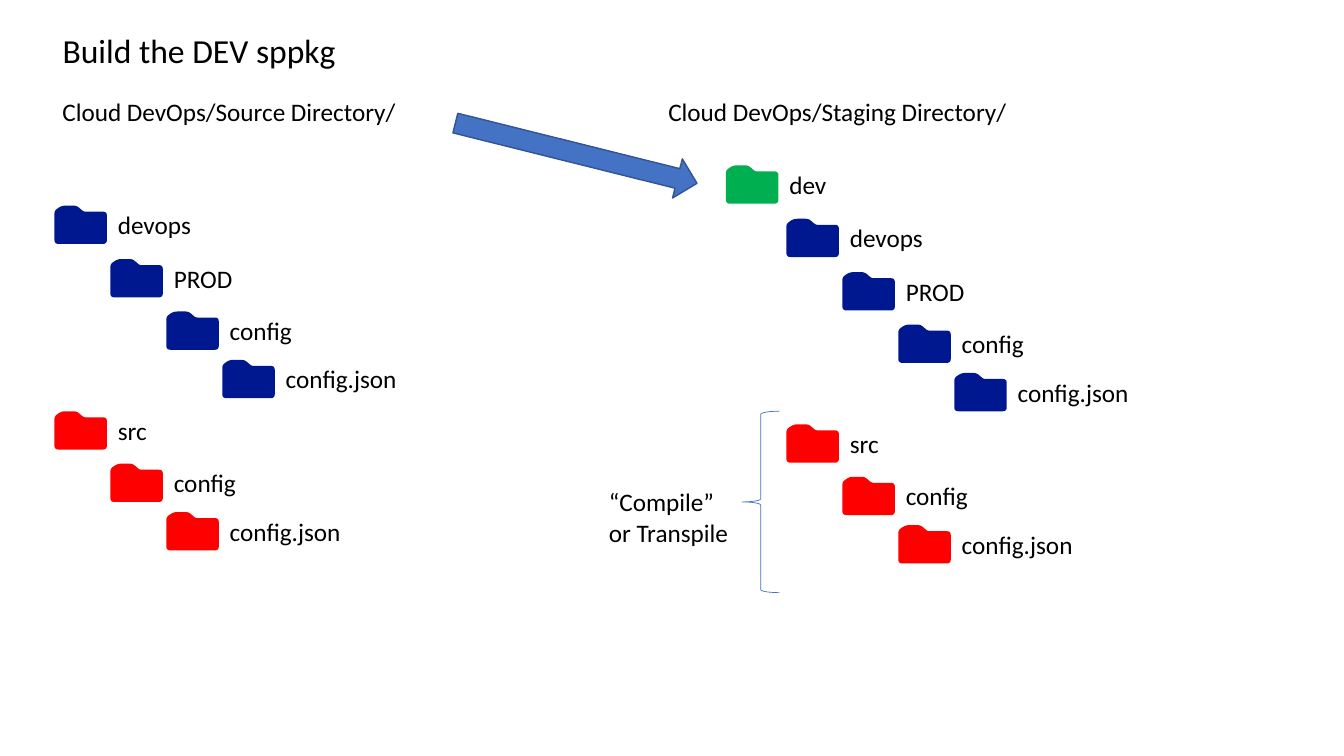
"""Build the slide that shows how the DEV package is staged from source."""
from math import dist

from pptx import Presentation
from pptx.dml.color import RGBColor
from pptx.enum.shapes import MSO_SHAPE
from pptx.enum.text import MSO_ANCHOR, PP_ALIGN
from pptx.util import Inches, Pt

BLACK = RGBColor(0x00, 0x00, 0x00)
NAVY = RGBColor(0x00, 0x18, 0x8F)
RED = RGBColor(0xFF, 0x00, 0x00)
GREEN = RGBColor(0x00, 0xB0, 0x50)
BLUE = RGBColor(0x44, 0x72, 0xC4)
DARK_BLUE = RGBColor(0x32, 0x54, 0x91)

INDENT = 0.555
CURVE_STEPS = 6
FOLDER_CORNERS = [
    (0.24, 0.02, 0.03), (0.31, 0.08, 0.02), (0.54, 0.08, 0.04),
    (0.54, 0.40, 0.04), (0.02, 0.40, 0.04), (0.02, 0.07, 0.03),
    (0.09, 0.02, 0.04),
]
TREE = [
    ("devops", 0, 0, NAVY), ("PROD", 1, 0.53, NAVY),
    ("config", 2, 1.05, NAVY), ("config.json", 3, 1.53, NAVY),
    ("src", 0, 2.04, RED), ("config", 1, 2.56, RED),
    ("config.json", 2, 3.04, RED),
]

folder_outline = []
for index, (x, y, radius) in enumerate(FOLDER_CORNERS):
    ends = []
    for neighbour in (index - 1, (index + 1) % len(FOLDER_CORNERS)):
        next_x, next_y, _ = FOLDER_CORNERS[neighbour]
        share = radius / dist((x, y), (next_x, next_y))
        ends.append((x + (next_x - x) * share, y + (next_y - y) * share))
    (start_x, start_y), (end_x, end_y) = ends
    for step in range(CURVE_STEPS + 1):
        t = step / CURVE_STEPS
        folder_outline.append((
            (1 - t) ** 2 * start_x + 2 * t * (1 - t) * x + t ** 2 * end_x,
            (1 - t) ** 2 * start_y + 2 * t * (1 - t) * y + t ** 2 * end_y,
        ))

presentation = Presentation()
presentation.slide_width = Inches(13.33)
presentation.slide_height = Inches(7.5)
slide = presentation.slides.add_slide(presentation.slide_layouts[5])


def add_text(lines, left, top, width, height=0.4, wrap=True):
    text_box = slide.shapes.add_textbox(
        Inches(left), Inches(top), Inches(width), Inches(height))
    text_frame = text_box.text_frame
    text_frame.word_wrap = wrap
    text_frame.text = lines
    for paragraph in text_frame.paragraphs:
        paragraph.font.name = "Calibri"
        paragraph.font.size = Pt(18)
        paragraph.font.color.rgb = BLACK


def add_folder(name, left, top, color):
    points = [(Inches(left + x), Inches(top + y)) for x, y in folder_outline]
    builder = slide.shapes.build_freeform(*points[0])
    builder.add_line_segments(points[1:], close=True)
    folder = builder.convert_to_shape()
    folder.shadow.inherit = False
    folder.fill.solid()
    folder.fill.fore_color.rgb = color
    folder.line.fill.background()
    add_text(name, left + 0.55, top + 0.01, 1.72)


title = slide.shapes.title
title.left, title.top = Inches(0.52), Inches(0.25)
title.width, title.height = Inches(3.93), Inches(0.5)
title.text_frame.text = "Build the DEV sppkg"
title.text_frame.vertical_anchor = MSO_ANCHOR.TOP
title_paragraph = title.text_frame.paragraphs[0]
title_paragraph.alignment = PP_ALIGN.LEFT
title_paragraph.font.name = "Calibri"
title_paragraph.font.size = Pt(24)
title_paragraph.font.color.rgb = BLACK

add_text("Cloud DevOps/Source Directory/", 0.52, 0.91, 3.91)
add_text("Cloud DevOps/Staging Directory/", 6.53, 0.91, 4.73)

add_folder("dev", 7.18, 1.62, GREEN)
for tree_left, tree_top in ((0.52, 2.02), (7.78, 2.15)):
    for name, level, offset, color in TREE:
        add_folder(name, tree_left + level * INDENT, tree_top + offset, color)

brace = slide.shapes.add_shape(
    MSO_SHAPE.LEFT_BRACE, Inches(7.36), Inches(4.08), Inches(0.37), Inches(1.8))
brace.shadow.inherit = False
brace.fill.background()
brace.line.color.rgb = BLUE
brace.line.width = Pt(0.5)
add_text("“Compile”\nor Transpile", 5.94, 4.78, 1.4, 0.71, wrap=False)

arrow = slide.shapes.add_shape(
    MSO_SHAPE.RIGHT_ARROW, Inches(4.48), Inches(1.32), Inches(2.47), Inches(0.4))
arrow.rotation = 14
arrow.shadow.inherit = False
arrow.fill.solid()
arrow.fill.fore_color.rgb = BLUE
arrow.line.color.rgb = DARK_BLUE
arrow.line.width = Pt(1)

presentation.save("out.pptx")
